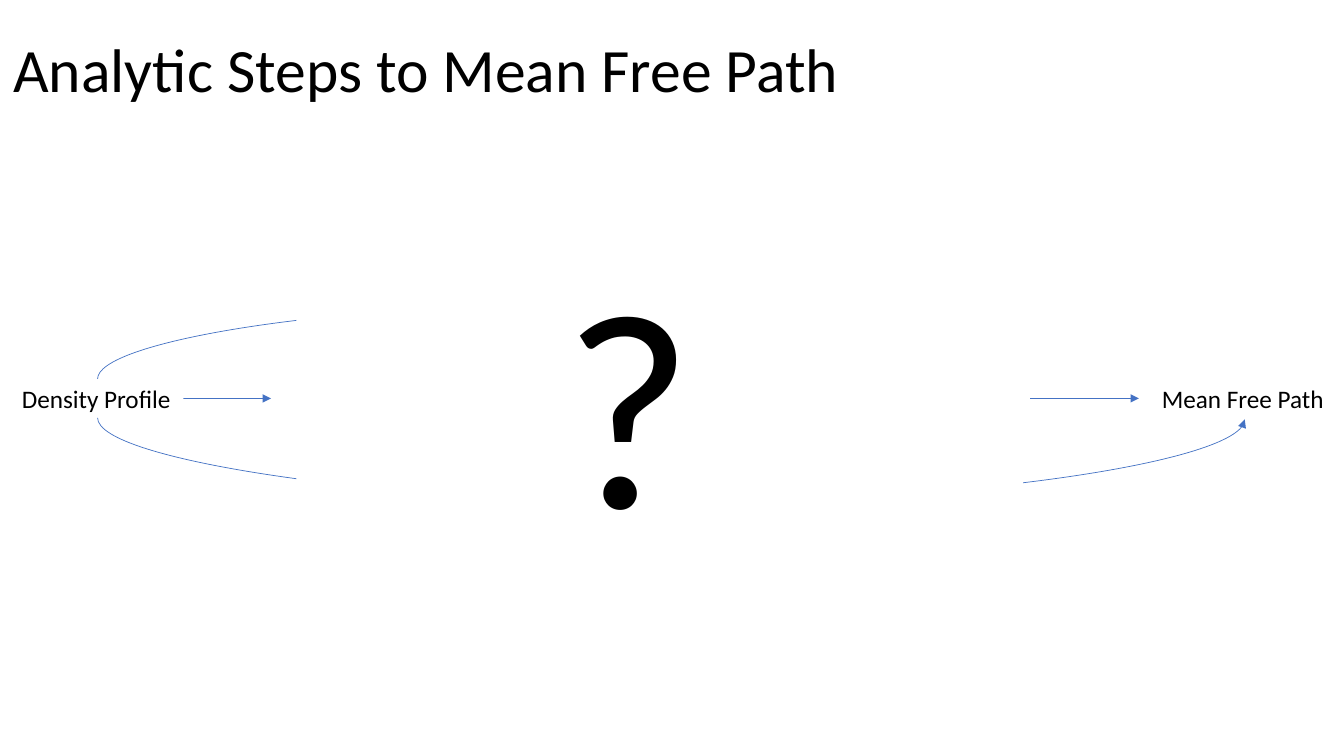
from dataclasses import dataclass

from lxml.etree import SubElement
from pptx import Presentation
from pptx.dml.color import RGBColor
from pptx.enum.shapes import MSO_CONNECTOR, MSO_SHAPE
from pptx.enum.text import MSO_ANCHOR, MSO_AUTO_SIZE, PP_ALIGN
from pptx.oxml.ns import qn
from pptx.util import Cm, Pt


@dataclass(frozen=True)
class Theme:
    font: str = "Calibri"
    ink: RGBColor = RGBColor(0x00, 0x00, 0x00)
    paper: RGBColor = RGBColor(0xFF, 0xFF, 0xFF)
    arrow: RGBColor = RGBColor(0x44, 0x72, 0xC4)
    title_size: int = 44
    label_size: int = 18
    mark_size: int = 200
    arrow_width: float = 0.5


THEME = Theme()
MIDLINE = 10.04
LABEL_HEIGHT = 1.02
BEND_DRIFT = 0.04


def write_text(shape, text, size, align=PP_ALIGN.LEFT, anchor=MSO_ANCHOR.TOP,
               wrap=True, spacing=1.0, right_inset=0.25):
    frame = shape.text_frame
    frame.word_wrap = wrap
    frame.vertical_anchor = anchor
    frame.margin_right = Cm(right_inset)
    para = frame.paragraphs[0]
    para.alignment = align
    para.line_spacing = spacing
    span = para.add_run()
    span.text = text
    span.font.name = THEME.font
    span.font.size = Pt(size)
    span.font.color.rgb = THEME.ink


def place_title(page, text):
    title = page.shapes.title
    title.left, title.top, title.width, title.height = Cm(0.08), Cm(0), Cm(29.21), Cm(3.68)
    write_text(title, text, THEME.title_size, anchor=MSO_ANCHOR.MIDDLE, spacing=0.9)


def add_label(page, text, left, width):
    box = page.shapes.add_textbox(
        Cm(left), Cm(MIDLINE - LABEL_HEIGHT / 2), Cm(width), Cm(LABEL_HEIGHT))
    write_text(box, text, THEME.label_size, wrap=False)
    box.text_frame.auto_size = MSO_AUTO_SIZE.SHAPE_TO_FIT_TEXT
    return box


def add_arrow(page, kind, begin, end):
    arrow = page.shapes.add_connector(kind, *map(Cm, begin + end))
    arrow.line.color.rgb = THEME.arrow
    arrow.line.width = Pt(THEME.arrow_width)
    properties = arrow.element.spPr
    SubElement(properties.find(qn("a:ln")), qn("a:tailEnd"), type="triangle")
    SubElement(properties, qn("a:effectLst"))
    return arrow


def add_bend(page, begin_x, end_x, y, depth, upward):
    center, half = (begin_x + end_x) / 2, (end_x - begin_x) / 2
    bend = add_arrow(page, MSO_CONNECTOR.CURVE,
                     (center - BEND_DRIFT / 2, y - half),
                     (center + BEND_DRIFT / 2, y + half))
    properties = bend.element.spPr
    frame = properties.find(qn("a:xfrm"))
    frame.set("rot", str((90 if upward else 270) * 60000))
    frame.set("flipH", "1")
    if upward:
        frame.set("flipV", "1")
    guides = properties.find(qn("a:prstGeom")).find(qn("a:avLst"))
    SubElement(guides, qn("a:gd"), name="adj1",
               fmla=f"val {round(depth / BEND_DRIFT * 100000)}")


def add_mystery(page):
    panel = page.shapes.add_shape(
        MSO_SHAPE.RECTANGLE, Cm(7.47), Cm(5.64), Cm(18.31), Cm(8.81))
    panel.shadow.inherit = False
    panel.fill.solid()
    panel.fill.fore_color.rgb = THEME.paper
    panel.line.fill.background()
    write_text(panel, "?", THEME.mark_size, align=PP_ALIGN.CENTER, right_inset=1.85)


def main():
    deck = Presentation()
    deck.slide_width, deck.slide_height = Cm(33.87), Cm(19.05)
    page = deck.slides.add_slide(deck.slide_layouts.get_by_name("Title Only"))
    place_title(page, "Analytic Steps to Mean Free Path")
    density = add_label(page, "Density Profile", 0.3, 4.32)
    add_label(page, "Mean Free Path", 29.03, 4.65)
    first = add_arrow(page, MSO_CONNECTOR.STRAIGHT, (4.62, MIDLINE), (6.83, MIDLINE))
    first.begin_connect(density, 3)
    add_bend(page, 2.46, 24.71, 9.53, 1.83, upward=True)
    add_bend(page, 2.46, 31.37, 10.55, 2.13, upward=False)
    add_mystery(page)
    add_arrow(page, MSO_CONNECTOR.STRAIGHT, (25.96, MIDLINE), (28.7, MIDLINE))
    deck.save("out.pptx")


if __name__ == "__main__":
    main()
